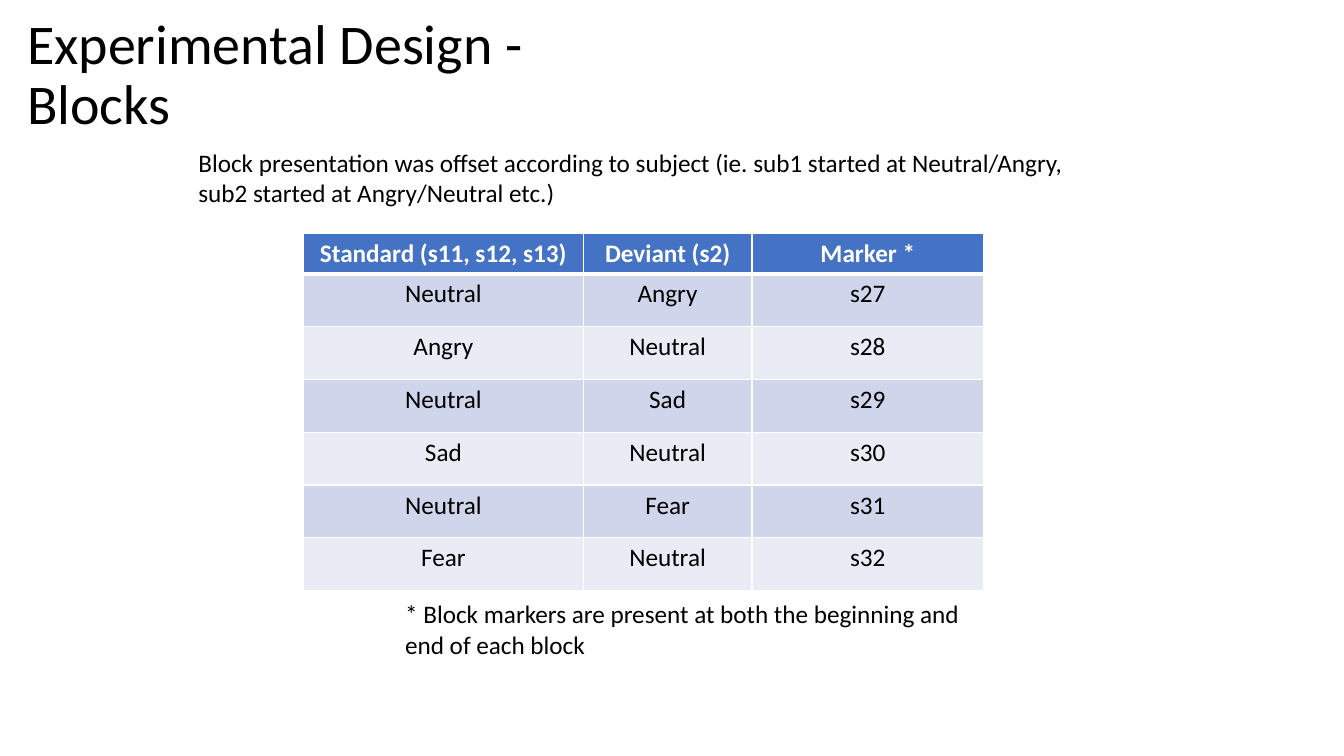
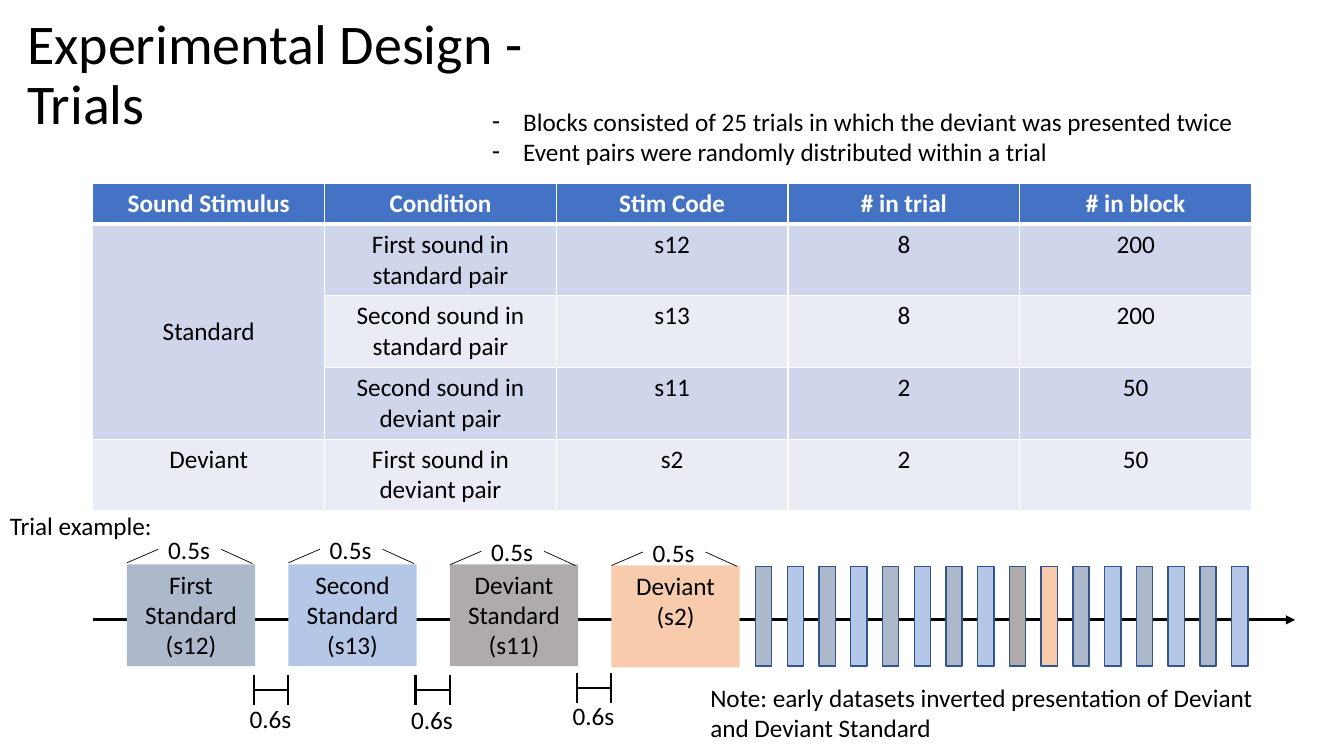
from lxml import etree
from pptx import Presentation
from pptx.dml.color import RGBColor
from pptx.enum import shapes, text
from pptx.oxml import ns
from pptx.util import Cm, Pt

COLORS = {
    "black": "000000", "white": "FFFFFF", "header": "4472C4",
    "odd": "CFD5EA", "even": "E9EBF5", "outline": "325491",
    "first": "ADB9CA", "second": "B4C7E7",
    "deviant_standard": "AFABAB", "deviant": "F8CBAD",
}


def color(name):
    return RGBColor.from_string(COLORS[name])


class SlideBuilder:
    font = "Calibri"
    title_size = 40
    body_size = 18

    def __init__(self, deck):
        self.deck = deck
        self.page = None

    def start(self, layout, title):
        self.page = self.deck.slides.add_slide(self.deck.slide_layouts[layout])
        box = self.page.shapes.title
        self.place(box, 0.43, 0.3, 15.77, 3.25)
        self.set_text(box.text_frame, [title], size=self.title_size,
                      anchor=text.MSO_ANCHOR.MIDDLE)
        box.text_frame.paragraphs[0].line_spacing = 0.9

    def place(self, box, left, top, width, height):
        box.left, box.top = Cm(left), Cm(top)
        box.width, box.height = Cm(width), Cm(height)

    def set_text(self, frame, lines, size=body_size, ink="black", bold=False,
                 align=text.PP_ALIGN.LEFT, anchor=text.MSO_ANCHOR.TOP, wrap=True):
        frame.word_wrap = wrap
        frame.auto_size = text.MSO_AUTO_SIZE.NONE
        frame.vertical_anchor = anchor
        for index, line in enumerate(lines):
            para = frame.add_paragraph() if index else frame.paragraphs[0]
            para.alignment = align
            para.space_before = Pt(0)
            span = para.add_run()
            span.text = line
            span.font.name = self.font
            span.font.size = Pt(size)
            span.font.bold = bold
            span.font.color.rgb = color(ink)

    def label(self, line, left, top, width, height=1.02, wrap=False):
        box = self.page.shapes.add_textbox(Cm(left), Cm(top), Cm(width), Cm(height))
        self.set_text(box.text_frame, [line], wrap=wrap)

    def bullets(self, lines, left, top, width, height):
        box = self.page.placeholders[1]
        self.place(box, left, top, width, height)
        self.set_text(box.text_frame, lines)
        for para in box.text_frame.paragraphs:
            props = para._p.get_or_add_pPr()
            props.set("marL", str(Cm(0.79)))
            props.set("indent", str(Cm(-0.79)))
            etree.SubElement(props, ns.qn("a:buChar"), char="-")

    def rectangle(self, left, top, width, height, fill, outline=None, line=None):
        box = self.page.shapes.add_shape(
            shapes.MSO_SHAPE.RECTANGLE, Cm(left), Cm(top), Cm(width), Cm(height))
        box.shadow.inherit = False
        box.fill.solid()
        box.fill.fore_color.rgb = color(fill)
        if outline:
            box.line.color.rgb = color(outline)
            box.line.width = Pt(1)
        else:
            box.line.fill.background()
        if line:
            self.set_text(box.text_frame, [line], align=text.PP_ALIGN.CENTER)

    def line(self, x1, y1, x2, y2, weight, arrow=False):
        connector = self.page.shapes.add_connector(
            shapes.MSO_CONNECTOR.STRAIGHT, Cm(x1), Cm(y1), Cm(x2), Cm(y2))
        connector.line.color.rgb = color("black")
        connector.line.width = Pt(weight)
        props = connector._element.spPr
        if arrow:
            etree.SubElement(props.get_or_add_ln(), ns.qn("a:tailEnd"),
                             type="triangle")
        etree.SubElement(props, ns.qn("a:effectLst"))

    def borders(self, cell, top, bottom):
        props = cell._tc.get_or_add_tcPr()
        weights = {"lnL": 1, "lnR": 1, "lnT": top, "lnB": bottom}
        for index, (side, weight) in enumerate(weights.items()):
            edge = etree.Element(ns.qn("a:" + side), w=str(Pt(weight)))
            fill = etree.SubElement(edge, ns.qn("a:solidFill"))
            etree.SubElement(fill, ns.qn("a:srgbClr"), val=COLORS["white"])
            props.insert(index, edge)

    def table(self, rows, left, top, widths, header_height, row_height):
        heights = [header_height] + [row_height] * (len(rows) - 1)
        grid = self.page.shapes.add_table(
            len(rows), len(widths), Cm(left), Cm(top),
            Cm(sum(widths)), Cm(sum(heights))).table
        for column, width in zip(grid.columns, widths):
            column.width = Cm(width)
        for r, (values, height) in enumerate(zip(rows, heights)):
            grid.rows[r].height = Cm(height)
            for c, value in enumerate(values):
                cell = grid.cell(r, c)
                cell.fill.solid()
                band = "odd" if r % 2 else "even"
                cell.fill.fore_color.rgb = color(band if r else "header")
                self.borders(cell, 3 if r == 1 else 1, 1 if r else 3)
                if value:
                    self.set_text(cell.text_frame, [value], bold=r == 0,
                                  ink="black" if r else "white",
                                  align=text.PP_ALIGN.CENTER)
        return grid

    def duration(self, left, top):
        self.label("0.5s", left + 0.79, top, 1.57)
        self.line(left, top + 0.84, left + 0.79, top + 0.5, 0.5)
        self.line(left + 3.16, top + 0.86, left + 2.37, top + 0.5, 0.5)

    def interval(self, left, middle, label_top):
        right = left + 0.86
        self.line(left, middle, right, middle, 1.5)
        for x in (left, right):
            self.line(x, middle - 0.37, x, middle + 0.38, 1.5)
        self.label("0.6s", left - 0.36, label_top, 1.57)


def blocks_page(builder):
    builder.start(5, "Experimental Design - Blocks")
    pairs = [(emotion, flip) for emotion in ("Angry", "Sad", "Fear")
             for flip in (False, True)]
    rows = [("Standard (s11, s12, s13)", "Deviant (s2)", "Marker *")]
    for marker, (emotion, flip) in enumerate(pairs, 27):
        pair = (emotion, "Neutral") if flip else ("Neutral", emotion)
        rows.append((*pair, f"s{marker}"))
    builder.table(rows, 7.65, 5.87, [7.05, 4.25, 5.84], 1.02, 1.33)
    builder.label("Block presentation was offset according to subject (ie. sub1 "
                  "started at Neutral/Angry, sub2 started at Angry/Neutral etc.)",
                  4.75, 3.58, 23.52, 1.8, wrap=True)
    builder.label("* Block markers are present at both the beginning and end of "
                  "each block", 9.96, 14.96, 14.81, 1.8, wrap=True)


def trials_page(builder):
    builder.start(1, "Experimental Design - Trials")
    builder.bullets([
        "Blocks consisted of 25 trials in which the deviant was presented twice",
        "Event pairs were randomly distributed within a trial",
    ], 12.14, 2.54, 19.41, 1.8)
    grid = builder.table([
        ("Sound Stimulus", "Condition", "Stim Code", "# in trial", "# in block"),
        ("Standard", "First sound in standard pair", "s12", "8", "200"),
        ("", "Second sound in standard pair", "s13", "8", "200"),
        ("", "Second sound in deviant pair", "s11", "2", "50"),
        ("Deviant", "First sound in deviant pair", "s2", "2", "50"),
    ], 2.34, 4.62, [5.84] * 5, 1.03, 1.8)
    grid.cell(1, 0).merge(grid.cell(3, 0))
    grid.cell(1, 0).vertical_anchor = text.MSO_ANCHOR.MIDDLE

    builder.label("Trial example:", 0, 12.73, 4.14)
    builder.line(2.34, 15.62, 32.64, 15.62, 2.25, arrow=True)
    start, step = 3.2, 4.07
    sounds = [
        ("First Standard (s12)", "first", 14.22, 13.34),
        ("Second Standard (s13)", "second", 14.22, 13.34),
        ("Deviant Standard (s11)", "deviant_standard", 14.22, 13.39),
        ("Deviant (s2)", "deviant", 14.25, 13.41),
    ]
    for index, (name, fill, top, label_top) in enumerate(sounds):
        left = start + index * step
        builder.rectangle(left, top, 3.23, 2.57, fill, line=name)
        builder.duration(left, label_top)
    for index, (middle, top) in enumerate([(17.38, 17.6), (17.38, 17.63),
                                           (17.34, 17.53)]):
        builder.interval(start + 3.2 + index * step, middle, top)

    pair = ["first", "second"]
    sequence = pair * 4 + ["deviant_standard", "deviant"] + pair * 3
    for index, fill in enumerate(sequence):
        builder.rectangle(19.04 + index * 0.8, 14.27, 0.41, 2.51, fill, "outline")
    builder.label("Note: early datasets inverted presentation of Deviant and "
                  "Deviant Standard", 17.65, 17.07, 14.99, 1.8, wrap=True)


deck = Presentation()
deck.slide_width, deck.slide_height = Cm(33.87), Cm(19.05)
builder = SlideBuilder(deck)
blocks_page(builder)
trials_page(builder)
deck.save("out.pptx")
